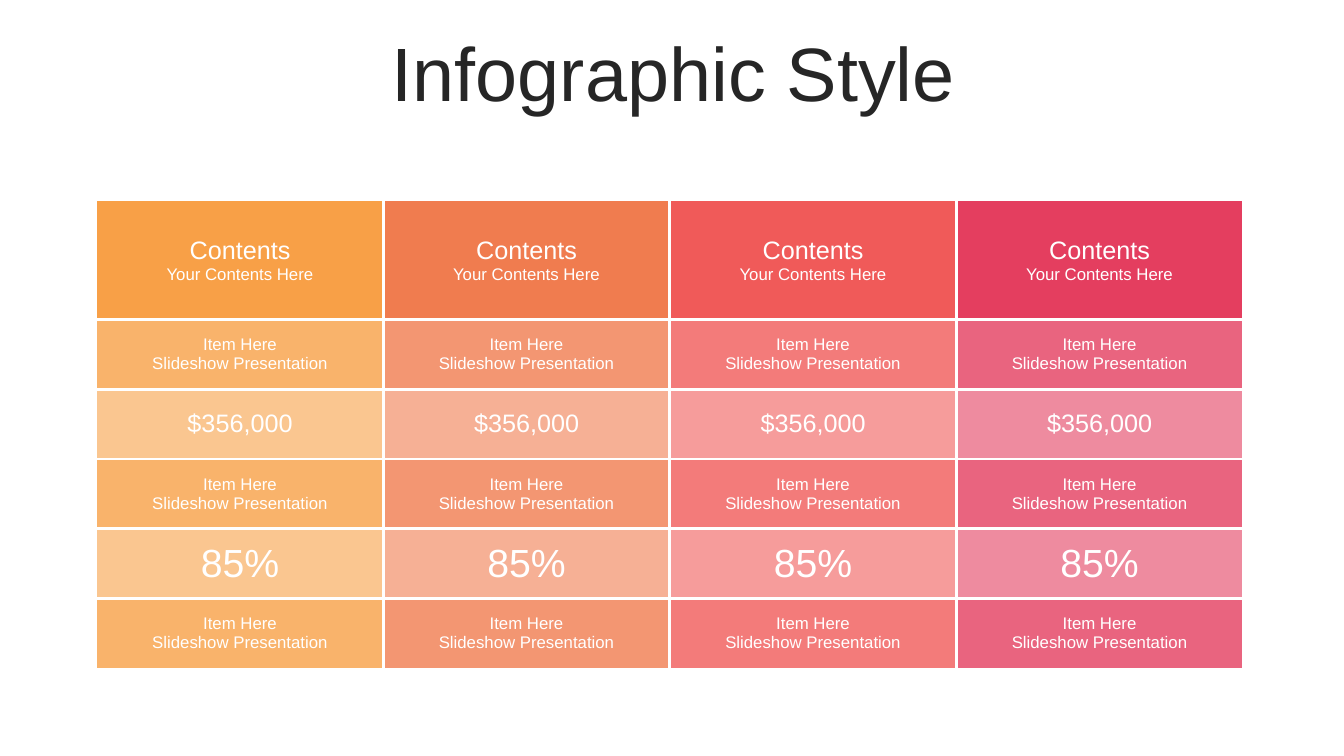
from dataclasses import dataclass

from lxml.etree import SubElement
from pptx import Presentation
from pptx.dml.color import RGBColor
from pptx.enum.text import MSO_VERTICAL_ANCHOR as Anchor, PP_PARAGRAPH_ALIGNMENT as Align
from pptx.oxml.ns import qn
from pptx.util import Inches, Pt


@dataclass(frozen=True)
class Theme:
    font: str = "Arial"
    ink: str = "262626"
    white: str = "FFFFFF"
    columns: tuple = ("F8A047", "F07C4F", "F05A59", "E43E5F")
    title: int = 54
    percent: int = 28
    heading: int = 18
    body: int = 12
    inner_line: float = 2.25
    outer_line: float = 1


class SlideBuilder:
    """Draws titles and tables on one slide, with lengths as percentages of its size."""

    def __init__(self, presentation, theme):
        self.theme = theme
        self.width = presentation.slide_width
        self.height = presentation.slide_height
        self.slide = presentation.slides.add_slide(presentation.slide_layouts[6])

    def across(self, share):
        return round(self.width * share / 100)

    def down(self, share):
        return round(self.height * share / 100)

    def place(self, left, top, width, height):
        return self.across(left), self.down(top), self.across(width), self.down(height)

    def add_lines(self, frame, lines, color):
        frame.word_wrap = True
        for index, (text, size) in enumerate(lines):
            paragraph = frame.add_paragraph() if index else frame.paragraphs[0]
            paragraph.alignment = Align.CENTER
            run = paragraph.add_run()
            run.text = text
            run.font.name = self.theme.font
            run.font.size = Pt(size)
            run.font.bold = False
            run.font.color.rgb = RGBColor.from_string(color)

    def title(self, text, left, top, width, height):
        frame = self.slide.shapes.add_textbox(*self.place(left, top, width, height)).text_frame
        frame.vertical_anchor = Anchor.MIDDLE
        self.add_lines(frame, [(text, self.theme.title)], self.theme.ink)
        frame.paragraphs[0].line_spacing = 0.9

    def border(self, cell, side, points):
        properties = cell._tc.get_or_add_tcPr()
        line = SubElement(properties, qn(f"a:ln{side}"), w=str(Pt(points)))
        fill = SubElement(line, qn("a:solidFill"))
        SubElement(fill, qn("a:srgbClr"), val=self.theme.white)

    def fill(self, cell, color, opacity):
        cell.fill.solid()
        cell.fill.fore_color.rgb = RGBColor.from_string(color)
        if opacity < 100:
            tint = cell._tc.tcPr.find(f"{qn('a:solidFill')}/{qn('a:srgbClr')}")
            SubElement(tint, qn("a:alpha"), val=str(opacity * 1000))

    def table(self, rows, left, top, column_width, row_heights):
        colors = self.theme.columns
        area = self.place(left, top, column_width * len(colors), sum(row_heights))
        table = self.slide.shapes.add_table(len(rows), len(colors), *area).table
        table.first_row = table.horz_banding = False
        for column in table.columns:
            column.width = self.across(column_width)
        for row, height in zip(table.rows, row_heights):
            row.height = self.down(height)
        for row_index, (lines, opacity) in enumerate(rows):
            for column_index, color in enumerate(colors):
                cell = table.cell(row_index, column_index)
                cell.vertical_anchor = Anchor.MIDDLE
                if row_index:
                    cell.margin_left = cell.margin_right = Inches(0.12)
                outer_sides = {
                    "L": column_index == 0,
                    "R": column_index == len(colors) - 1,
                    "T": row_index == 0,
                    "B": row_index == len(rows) - 1,
                }
                for side, outer in outer_sides.items():
                    self.border(cell, side, self.theme.outer_line if outer else self.theme.inner_line)
                self.fill(cell, color, opacity)
                self.add_lines(cell.text_frame, lines, self.theme.white)


def main():
    theme = Theme()
    presentation = Presentation()
    presentation.slide_width = Inches(13.33)
    presentation.slide_height = Inches(7.5)
    builder = SlideBuilder(presentation, theme)
    builder.title("Infographic Style", 2.63, 4.93, 94.97, 10.53)

    header = ([("Contents", theme.heading), ("Your Contents Here", theme.body)], 100)
    item = ([("Item Here", theme.body), ("Slideshow Presentation", theme.body)], 80)
    amount = ([("$356,000", theme.heading)], 60)
    share = ([("85%", theme.percent)], 60)
    rows = [header, item, amount, item, share, item]
    builder.table(rows, 7.2, 26.53, 21.32, [15.73] + [9.23] * 5)
    presentation.save("out.pptx")


if __name__ == "__main__":
    main()
